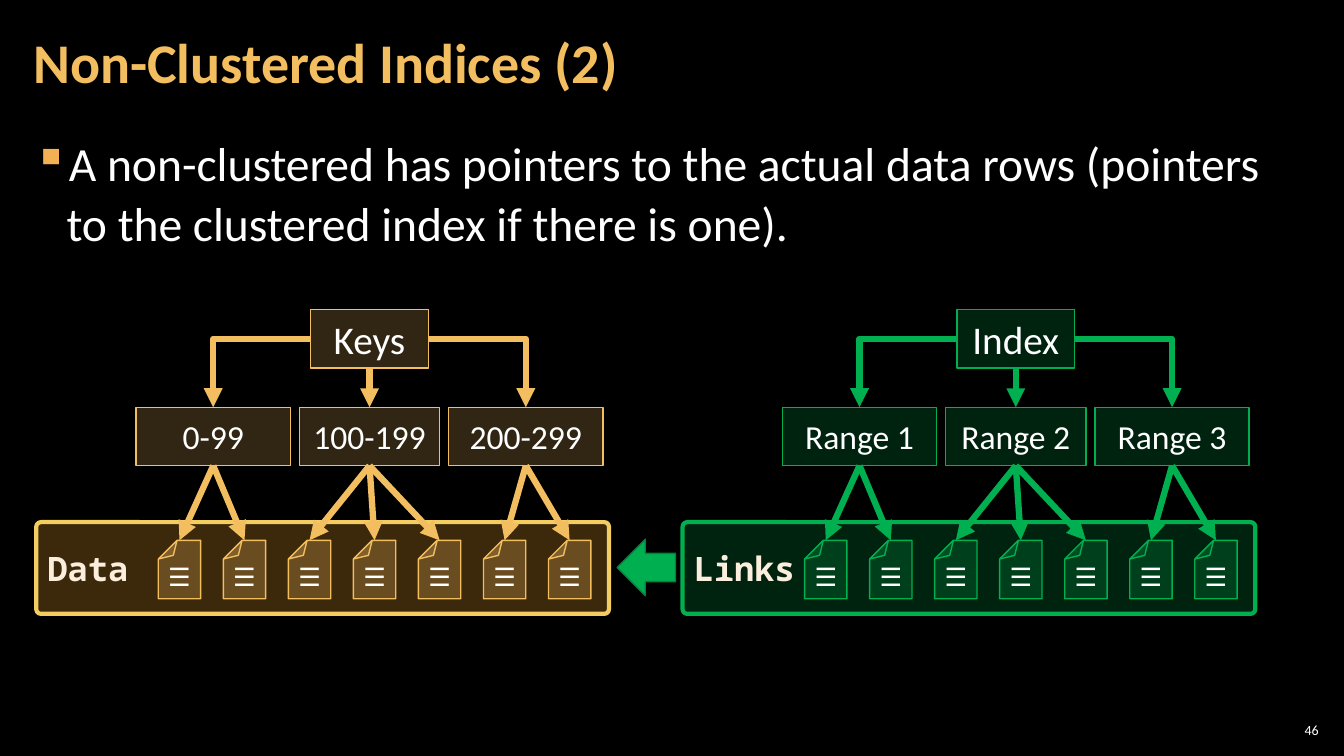
"""Build the slide on non-clustered indices."""

import dataclasses

import lxml.etree
import pptx
import pptx.dml.color
import pptx.enum.shapes
import pptx.enum.text
import pptx.oxml.ns
import pptx.shapes.autoshape
import pptx.slide
import pptx.text.text
import pptx.util

Inches = pptx.util.Inches
RGBColor = pptx.dml.color.RGBColor
SHAPE = pptx.enum.shapes.MSO_SHAPE
CONNECTOR = pptx.enum.shapes.MSO_CONNECTOR
ALIGN = pptx.enum.text.PP_ALIGN
ANCHOR = pptx.enum.text.MSO_ANCHOR
qn = pptx.oxml.ns.qn

BLACK = RGBColor(0x00, 0x00, 0x00)
WHITE = RGBColor(0xFF, 0xFF, 0xFF)
CREAM = RGBColor(0xFB, 0xEE, 0xDC)
GOLD = RGBColor(0xF3, 0xBE, 0x60)
AMBER = RGBColor(0xF0, 0xA2, 0x2E)
YELLOW = RGBColor(0xF3, 0xCD, 0x60)
BULLET_ORANGE = RGBColor(0xF2, 0xB2, 0x54)
GREEN = RGBColor(0x00, 0xB0, 0x50)
DARK_GREEN = RGBColor(0x00, 0x84, 0x3C)

SANS = "Calibri"
MONO = "Noto Sans Mono"

ROOT_TOP, BRANCH_TOP, STORE_TOP, SHEET_TOP = 3.07, 4.04, 5.18, 5.36
NODE_HEIGHT = 0.58
ROOT_LEFT, ROOT_WIDTH = 2.72, 1.17
STORE_WIDTH, STORE_HEIGHT = 5.68, 0.91
SHEET_LEFT, SHEET_WIDTH = 1.21, 0.42
SHEET_COUNT, SHEET_SPAN = 7, 3.87
GLYPH_WIDTH, GLYPH_HEIGHT = 0.67, 0.4


@dataclasses.dataclass(frozen=True)
class Branch:
    """A node of the middle level, placed from the left of its tree."""

    left: float
    width: float
    sheets: range


@dataclasses.dataclass(frozen=True)
class Tree:
    """A tree of keys over a store of sheets."""

    left: float
    root: str
    branch_labels: tuple[str, str, str]
    store: str
    color: RGBColor
    store_fill: RGBColor
    store_line: RGBColor
    sheet_opacity: int


BRANCHES = (
    Branch(0.99, 1.53, range(0, 2)),
    Branch(2.61, 1.39, range(2, 5)),
    Branch(4.09, 1.53, range(5, 7)),
)
TREES = (
    Tree(0.36, "Keys", ("0-99", "100-199", "200-299"), "Data", GOLD, AMBER, YELLOW, 25),
    Tree(6.77, "Index", ("Range 1", "Range 2", "Range 3"), "Links", GREEN, GREEN, GREEN, 20),
)


def write(frame: pptx.text.text.TextFrame, text: str, *, size: float, font: str = SANS,
          color: RGBColor = WHITE, bold: bool = False, align: ALIGN = ALIGN.LEFT,
          anchor: ANCHOR = ANCHOR.MIDDLE, spacing: float = 1.0,
          insets: tuple[float, float] = (0.1, 0.05)) -> pptx.text.text._Paragraph:
    """Write one formatted paragraph into a frame."""
    frame.word_wrap = True
    frame.vertical_anchor = anchor
    frame.margin_left = frame.margin_right = Inches(insets[0])
    frame.margin_top = frame.margin_bottom = Inches(insets[1])
    paragraph = frame.paragraphs[0]
    paragraph.alignment = align
    paragraph.line_spacing = spacing
    run = paragraph.add_run()
    run.text = text
    run.font.name = font
    run.font.size = pptx.util.Pt(size)
    run.font.bold = bold
    run.font.color.rgb = color
    return paragraph


def add_frame(slide: pptx.slide.Slide, left: float, top: float, width: float,
              height: float) -> pptx.text.text.TextFrame:
    """Add a text box and return its frame."""
    return slide.shapes.add_textbox(
        Inches(left), Inches(top), Inches(width), Inches(height)).text_frame


def add_bullet(paragraph: pptx.text.text._Paragraph) -> None:
    """Give the paragraph a square bullet with a hanging indent."""
    properties = paragraph._p.get_or_add_pPr()
    properties.set("marL", str(Inches(0.33)))
    properties.set("indent", str(-Inches(0.33)))
    bullet_color = lxml.etree.SubElement(properties, qn("a:buClr"))
    lxml.etree.SubElement(bullet_color, qn("a:srgbClr"), val=str(BULLET_ORANGE))
    lxml.etree.SubElement(properties, qn("a:buChar"), char="▪")


def add_node(slide: pptx.slide.Slide, kind: SHAPE, left: float, top: float, width: float,
             height: float, *, fill: RGBColor, line: RGBColor, opacity: int = 100,
             weight: float = 1) -> pptx.shapes.autoshape.Shape:
    """Add an outlined shape whose fill may be translucent."""
    node = slide.shapes.add_shape(
        kind, Inches(left), Inches(top), Inches(width), Inches(height))
    node.shadow.inherit = False
    node.fill.solid()
    node.fill.fore_color.rgb = fill
    if opacity < 100:
        fill_color = node._element.spPr.find(qn("a:solidFill"))[0]
        lxml.etree.SubElement(fill_color, qn("a:alpha"), val=str(opacity * 1000))
    node.line.color.rgb = line
    node.line.width = pptx.util.Pt(weight)
    return node


def add_arrow(slide: pptx.slide.Slide, start: tuple[float, float], end: tuple[float, float],
              color: RGBColor, bent: bool = False) -> None:
    """Add an arrow, straight or with a single right-angled bend."""
    arrow = slide.shapes.add_connector(
        CONNECTOR.ELBOW if bent else CONNECTOR.STRAIGHT,
        *(Inches(length) for length in (*start, *end)))
    arrow.line.color.rgb = color
    arrow.line.width = pptx.util.Pt(4.5)
    properties = arrow._element.spPr
    lxml.etree.SubElement(properties.find(qn("a:ln")), qn("a:tailEnd"), type="triangle")
    lxml.etree.SubElement(properties, qn("a:effectLst"))
    if bent:
        properties.find(qn("a:prstGeom")).set("prst", "bentConnector2")


def draw_tree(slide: pptx.slide.Slide, tree: Tree) -> None:
    """Draw the root, branches, store and arrows of a tree."""
    root_left = tree.left + ROOT_LEFT
    root = add_node(slide, SHAPE.RECTANGLE, root_left, ROOT_TOP, ROOT_WIDTH, NODE_HEIGHT,
                    fill=tree.color, line=tree.color, opacity=20)
    write(root.text_frame, tree.root, size=28, align=ALIGN.CENTER)

    store = add_node(slide, SHAPE.ROUNDED_RECTANGLE, tree.left, STORE_TOP, STORE_WIDTH,
                     STORE_HEIGHT, fill=tree.store_fill, line=tree.store_line,
                     opacity=tree.sheet_opacity, weight=3)
    store.adjustments[0] = 0.05
    write(store.text_frame, tree.store, size=24, font=MONO, color=CREAM, bold=True)

    sheet_centers = []
    for index in range(SHEET_COUNT):
        sheet_left = tree.left + SHEET_LEFT + index * SHEET_SPAN / (SHEET_COUNT - 1)
        sheet = add_node(slide, SHAPE.FOLDED_CORNER, sheet_left, SHEET_TOP, SHEET_WIDTH,
                         NODE_HEIGHT, fill=tree.color, line=tree.color,
                         opacity=tree.sheet_opacity)
        sheet.rotation = 180
        fold = sheet._element.spPr.find(qn("a:prstGeom")).find(qn("a:avLst"))
        lxml.etree.SubElement(fold, qn("a:gd"), name="adj", fmla="val 44200")
        center = sheet_left + SHEET_WIDTH / 2
        sheet_centers.append(center)
        glyph = add_frame(slide, center - GLYPH_WIDTH / 2, SHEET_TOP + 0.16,
                          GLYPH_WIDTH, GLYPH_HEIGHT)
        write(glyph, "☰", size=18, font=MONO, bold=True, align=ALIGN.CENTER,
              anchor=ANCHOR.TOP)
        glyph.auto_size = pptx.enum.text.MSO_AUTO_SIZE.SHAPE_TO_FIT_TEXT

    for branch, label in zip(BRANCHES, tree.branch_labels):
        node = add_node(slide, SHAPE.RECTANGLE, tree.left + branch.left, BRANCH_TOP,
                        branch.width, NODE_HEIGHT, fill=tree.color, line=tree.color,
                        opacity=20)
        write(node.text_frame, label, size=24, align=ALIGN.CENTER)

    middle = ROOT_TOP + NODE_HEIGHT / 2
    root_exits = ((root_left, middle), (root_left + ROOT_WIDTH / 2, ROOT_TOP + NODE_HEIGHT),
                  (root_left + ROOT_WIDTH, middle))
    for branch, root_exit in zip(BRANCHES, root_exits):
        center = tree.left + branch.left + branch.width / 2
        add_arrow(slide, root_exit, (center, BRANCH_TOP), tree.color,
                  bent=root_exit[1] == middle)
        for index in branch.sheets:
            add_arrow(slide, (center, BRANCH_TOP + NODE_HEIGHT),
                      (sheet_centers[index], SHEET_TOP), tree.color)


def main() -> None:
    """Build and save the presentation."""
    deck = pptx.Presentation()
    deck.slide_width, deck.slide_height = Inches(13.33), Inches(7.5)
    slide = deck.slides.add_slide(deck.slide_layouts[6])
    slide.background.fill.solid()
    slide.background.fill.fore_color.rgb = BLACK
    statement = write(
        add_frame(slide, 0.21, 1.26, 12.91, 6.09),
        "A non-clustered has pointers to the actual data rows "
        "(pointers to the clustered index if there is one).",
        size=34, anchor=ANCHOR.TOP, spacing=1.05, insets=(0.12, 0.04))
    add_bullet(statement)
    write(add_frame(slide, 0.21, 0.04, 10.47, 1.21), "Non-Clustered Indices (2)",
          size=40, color=GOLD, bold=True, spacing=0.9, insets=(0.12, 0.04))
    for tree in TREES:
        draw_tree(slide, tree)
    link_arrow = add_node(slide, SHAPE.RIGHT_ARROW, 6.12, 5.35, 0.58, 0.56,
                          fill=GREEN, line=DARK_GREEN)
    link_arrow.rotation = 180
    write(add_frame(slide, 12.65, 7.14, 0.47, 0.21), "46", size=10, align=ALIGN.RIGHT,
          insets=(0.04, 0.04))
    deck.save("out.pptx")


if __name__ == "__main__":
    main()
